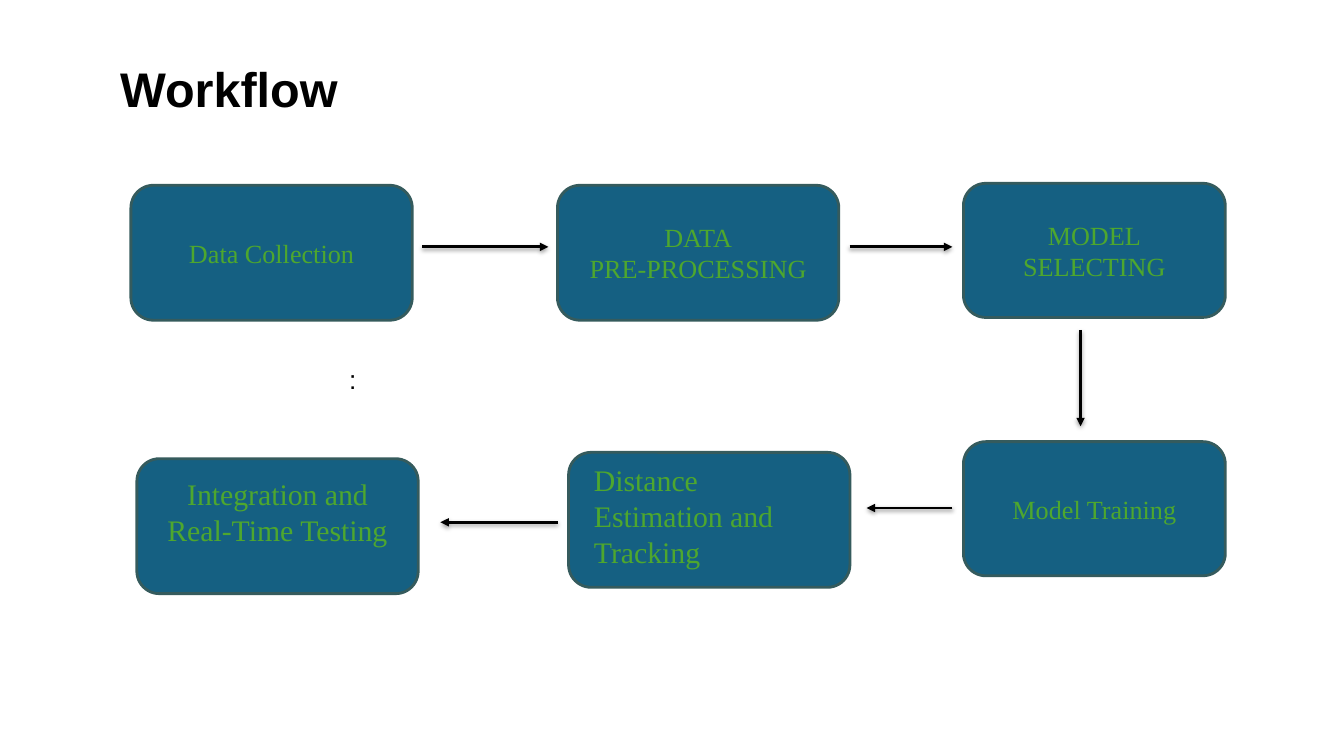
from lxml import etree
from pptx import Presentation
from pptx.dml.color import RGBColor
from pptx.enum.shapes import MSO_CONNECTOR, MSO_SHAPE
from pptx.enum.text import MSO_ANCHOR, PP_ALIGN
from pptx.oxml.ns import qn
from pptx.util import Cm, Pt

ROUNDED = MSO_SHAPE.ROUNDED_RECTANGLE
STRAIGHT = MSO_CONNECTOR.STRAIGHT
LEFT, CENTER = PP_ALIGN.LEFT, PP_ALIGN.CENTER
TOP, MIDDLE = MSO_ANCHOR.TOP, MSO_ANCHOR.MIDDLE

BLACK = RGBColor(0x00, 0x00, 0x00)
BLUE = RGBColor(0x15, 0x60, 0x82)
EDGE = RGBColor(0x35, 0x5B, 0x5D)
GREEN = RGBColor(0x4E, 0xA7, 0x2E)

SANS, SERIF = "Arial", "Times New Roman"
STEP_SIZE, LARGE_STEP_SIZE = 18.7, 21.3
WIDE, NARROW = (7.09, 3.4), (6.6, 3.38)

# Text, left, top, (width, height), text size, extra space below the text
STEPS = [
    ("Data Collection", 3.3, 4.67, WIDE, STEP_SIZE, 0),
    ("DATA\nPRE-PROCESSING", 14.05, 4.67, WIDE, STEP_SIZE, 0),
    ("MODEL\nSELECTING", 24.28, 4.62, NARROW, STEP_SIZE, 0),
    ("Model Training", 24.28, 11.13, NARROW, STEP_SIZE, 0),
    ("", 14.33, 11.4, WIDE, STEP_SIZE, 0),
    ("Integration and Real-Time Testing", 3.45, 11.56, WIDE, LARGE_STEP_SIZE, 0.75),
]

# Start x, start y, end x, end y
ARROWS = [
    (10.64, 6.22, 13.82, 6.22),
    (21.41, 6.22, 24, 6.22),
    (27.23, 8.31, 27.23, 10.74),
    (24, 12.8, 21.84, 12.8),
    (14.05, 13.16, 11.1, 13.16),
]


def write(frame, text, size=STEP_SIZE, font=SERIF, color=GREEN, bold=False,
          align=LEFT, anchor=TOP, inset_y=0.18, space_below=0):
    """Fill a text frame with one paragraph per line of text."""
    frame.word_wrap = True
    frame.vertical_anchor = anchor
    frame.margin_left = frame.margin_right = Cm(0.34)
    frame.margin_top = Cm(inset_y)
    frame.margin_bottom = Cm(inset_y + space_below)
    for index, line in enumerate(text.split("\n")):
        paragraph = frame.paragraphs[0] if index == 0 else frame.add_paragraph()
        paragraph.alignment = align
        run = paragraph.add_run()
        run.text = line
        run.font.size = Pt(size)
        run.font.name = font
        run.font.bold = bold
        run.font.color.rgb = color


class WorkflowSlide:
    line_width = Pt(2)

    def __init__(self, presentation):
        self.slide = presentation.slides.add_slide(presentation.slide_layouts[6])

    def label(self, text, left, top, width, height, **style):
        box = self.slide.shapes.add_textbox(Cm(left), Cm(top), Cm(width), Cm(height))
        write(box.text_frame, text, **style)

    def step(self, text, left, top, size, text_size, space_below):
        width, height = size
        box = self.slide.shapes.add_shape(
            ROUNDED, Cm(left), Cm(top), Cm(width), Cm(height))
        box.shadow.inherit = False
        box.fill.solid()
        box.fill.fore_color.rgb = BLUE
        box.line.color.rgb = EDGE
        box.line.width = self.line_width
        if text:
            write(box.text_frame, text, size=text_size, align=CENTER,
                  anchor=MIDDLE, space_below=space_below)

    def arrow(self, *ends):
        """Draw a line with an arrowhead at its end and a soft shadow below."""
        arrow = self.slide.shapes.add_connector(STRAIGHT, *map(Cm, ends))
        arrow.line.color.rgb = BLACK
        arrow.line.width = self.line_width
        properties = arrow._element.spPr
        etree.SubElement(properties.find(qn("a:ln")), qn("a:tailEnd"), type="triangle")
        effects = etree.SubElement(properties, qn("a:effectLst"))
        shadow = etree.SubElement(
            effects, qn("a:outerShdw"), blurRad=str(Pt(3.1)), dist=str(Pt(1.6)),
            dir="5400000", rotWithShape="0")
        color = etree.SubElement(shadow, qn("a:srgbClr"), val=str(BLACK))
        etree.SubElement(color, qn("a:alpha"), val="38000")


def main():
    presentation = Presentation()
    presentation.slide_width, presentation.slide_height = Cm(33.87), Cm(19.05)
    workflow = WorkflowSlide(presentation)

    workflow.label("Workflow", 2.69, 1.14, 23.88, 2.18, size=34.7, font=SANS,
                   color=BLACK, bold=True, inset_y=0.34)
    for step in STEPS:
        workflow.step(*step)
    for ends in ARROWS:
        workflow.arrow(*ends)
    workflow.label("Distance Estimation and Tracking", 14.63, 11.46, 5.74, 3.07,
                   size=LARGE_STEP_SIZE)
    workflow.label(":", 8.46, 8.97, 16.94, 1.14, font=SANS, color=BLACK)

    presentation.save("out.pptx")


if __name__ == "__main__":
    main()
